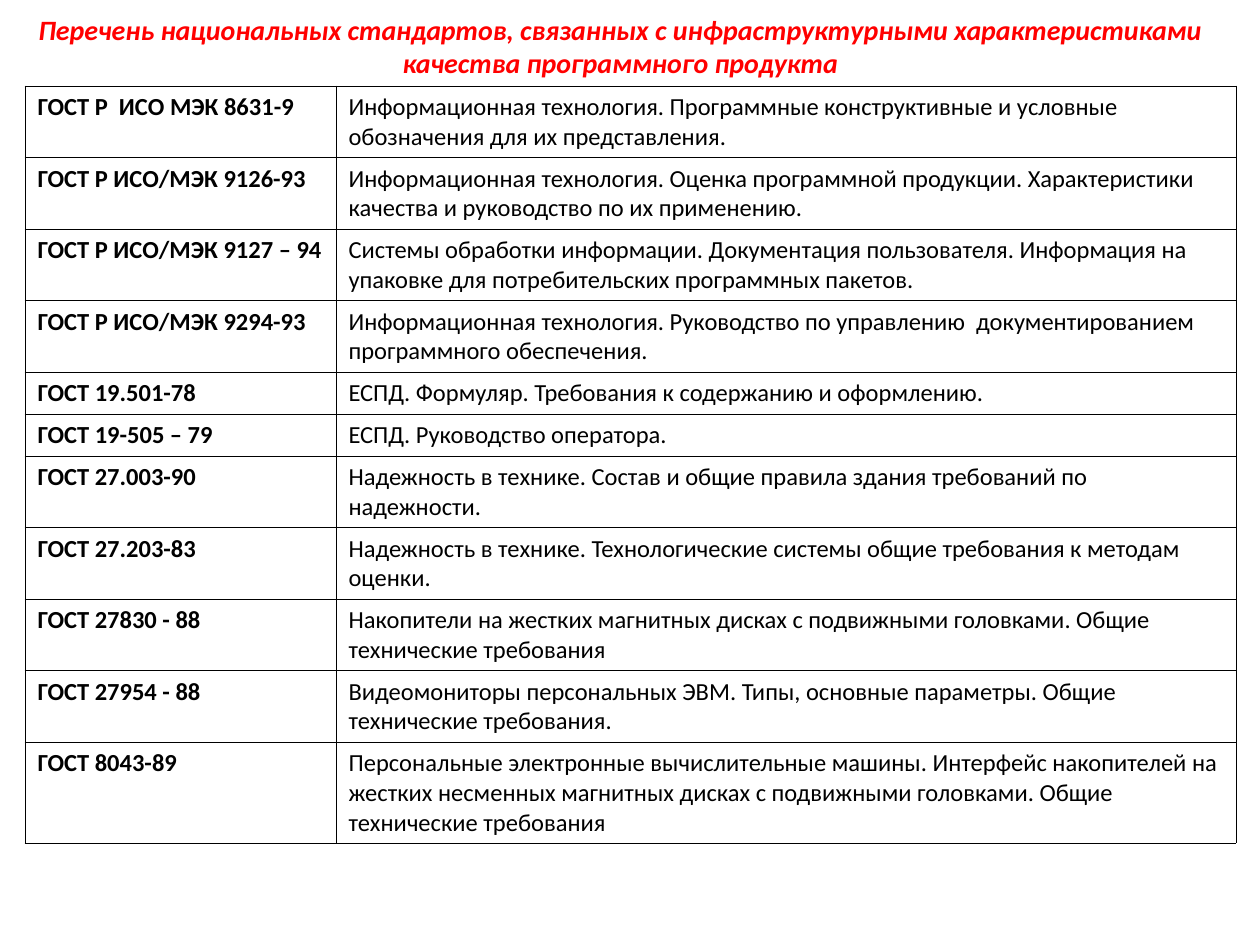
from lxml import etree
from pptx import Presentation
from pptx.dml.color import RGBColor
from pptx.enum.text import MSO_ANCHOR, MSO_AUTO_SIZE, PP_ALIGN
from pptx.oxml.ns import qn
from pptx.util import Inches, Pt

TOP = MSO_ANCHOR.TOP
CENTER = PP_ALIGN.CENTER
GROW = MSO_AUTO_SIZE.SHAPE_TO_FIT_TEXT

EMU_PER_PIXEL = Inches(1) / 126
COLORS = {"title": "FF0000", "text": "000000", "border": "000000", "cell": "FFFFFF"}
TITLE = ("Перечень национальных стандартов, связанных с инфраструктурными "
         "характеристиками качества программного продукта")
COLUMN_WIDTHS = (311, 900)
HEIGHT_BY_LINES = {1: 29, 2: 59, 3: 88}

# Standard, its title, number of text lines
STANDARDS = [
    ("ГОСТ Р  ИСО МЭК 8631-9",
     "Информационная технология. Программные конструктивные и условные "
     "обозначения для их представления.", 2),
    ("ГОСТ Р ИСО/МЭК 9126-93",
     "Информационная технология. Оценка программной продукции. Характеристики "
     "качества и руководство по их применению.", 2),
    ("ГОСТ Р ИСО/МЭК 9127 – 94",
     "Системы обработки информации. Документация пользователя. Информация на "
     "упаковке для потребительских программных пакетов.", 2),
    ("ГОСТ Р ИСО/МЭК 9294-93",
     "Информационная технология. Руководство по управлению  документированием "
     "программного обеспечения.", 2),
    ("ГОСТ 19.501-78", "ЕСПД. Формуляр. Требования к содержанию и оформлению.", 1),
    ("ГОСТ 19-505 – 79", "ЕСПД. Руководство оператора.", 1),
    ("ГОСТ 27.003-90",
     "Надежность в технике. Состав и общие правила здания требований по надежности.", 2),
    ("ГОСТ 27.203-83",
     "Надежность в технике. Технологические системы общие требования к методам оценки.", 2),
    ("ГОСТ 27830 - 88",
     "Накопители на жестких магнитных дисках с подвижными головками. Общие "
     "технические требования", 2),
    ("ГОСТ 27954 - 88",
     "Видеомониторы персональных ЭВМ. Типы, основные параметры. Общие "
     "технические требования.", 2),
    ("ГОСТ 8043-89",
     "Персональные электронные вычислительные машины. Интерфейс накопителей на "
     "жестких несменных магнитных дисках с подвижными головками. Общие "
     "технические требования", 3),
]


def px(length):
    return round(length * EMU_PER_PIXEL)


def write_text(text_frame, text, color, **font_format):
    run = text_frame.paragraphs[0].add_run()
    run.text = text
    run.font.color.rgb = RGBColor.from_string(COLORS[color])
    for name, value in {"name": "Calibri", **font_format}.items():
        setattr(run.font, name, value)


presentation = Presentation()
presentation.slide_width = px(1260)
presentation.slide_height = px(945)
slide = presentation.slides.add_slide(presentation.slide_layouts[5])

title = slide.shapes.title
title_box = {"left": 25, "top": 6, "width": 1191, "height": 81}
for name, length in title_box.items():
    setattr(title, name, px(length))
title_frame = title.text_frame
title_format = {"word_wrap": True, "auto_size": GROW, "vertical_anchor": TOP}
for name, value in title_format.items():
    setattr(title_frame, name, value)
title_frame.paragraphs[0].alignment = CENTER
write_text(title_frame, TITLE, "title", size=Pt(16), bold=True, italic=True)

row_heights = [HEIGHT_BY_LINES[lines] for _, _, lines in STANDARDS]
table = slide.shapes.add_table(
    len(STANDARDS), len(COLUMN_WIDTHS),
    px(25), px(86), px(sum(COLUMN_WIDTHS)), px(sum(row_heights)),
).table
table.first_row = False
table.horz_banding = False
for column, width in zip(table.columns, COLUMN_WIDTHS):
    column.width = px(width)

for row, height, (standard, description, _) in zip(table.rows, row_heights, STANDARDS):
    row.height = px(height)
    for cell, text, bold in zip(row.cells, (standard, description), (True, False)):
        write_text(cell.text_frame, text, "text", size=Pt(14), bold=bold)
        properties = cell._tc.get_or_add_tcPr()
        for side in ("a:lnL", "a:lnR", "a:lnT", "a:lnB"):
            border = etree.SubElement(properties, qn(side), w=str(Pt(0.45)))
            border_fill = etree.SubElement(border, qn("a:solidFill"))
            etree.SubElement(border_fill, qn("a:srgbClr"), val=COLORS["border"])
        cell.fill.solid()
        cell.fill.fore_color.rgb = RGBColor.from_string(COLORS["cell"])

presentation.save("out.pptx")
